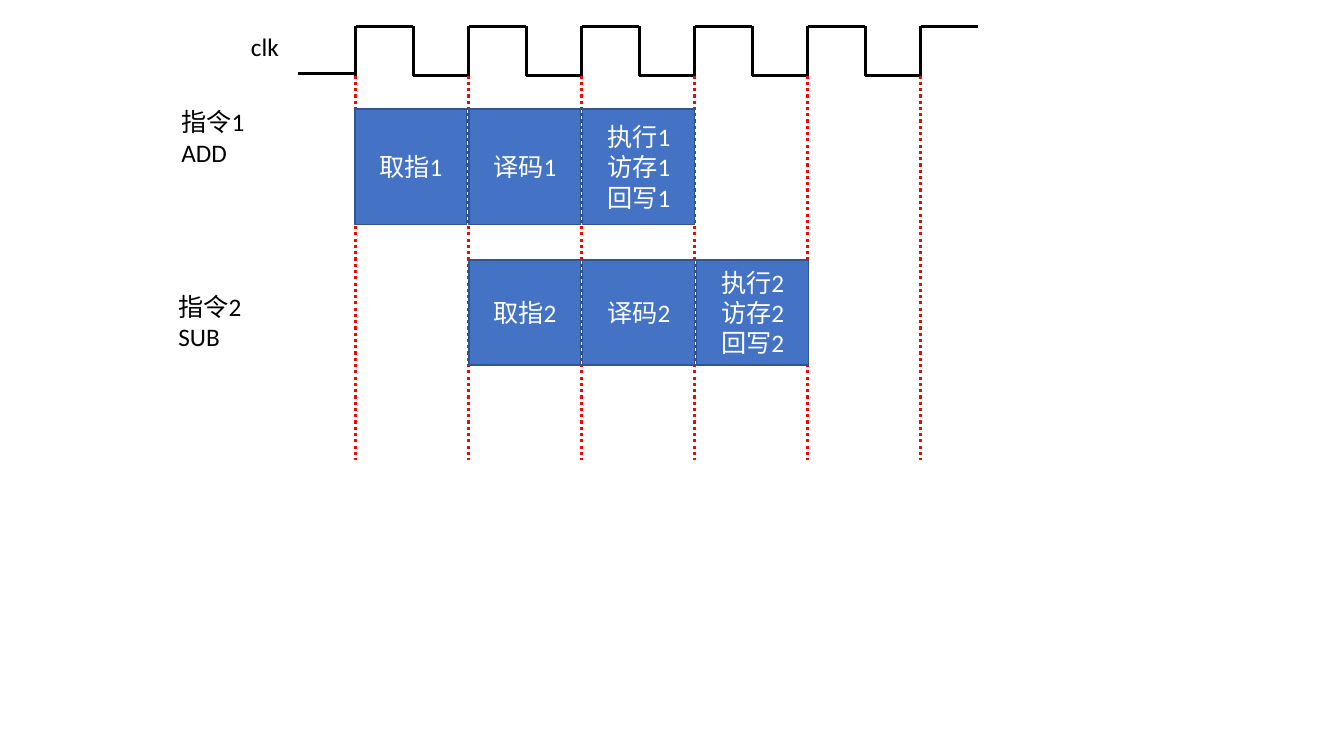
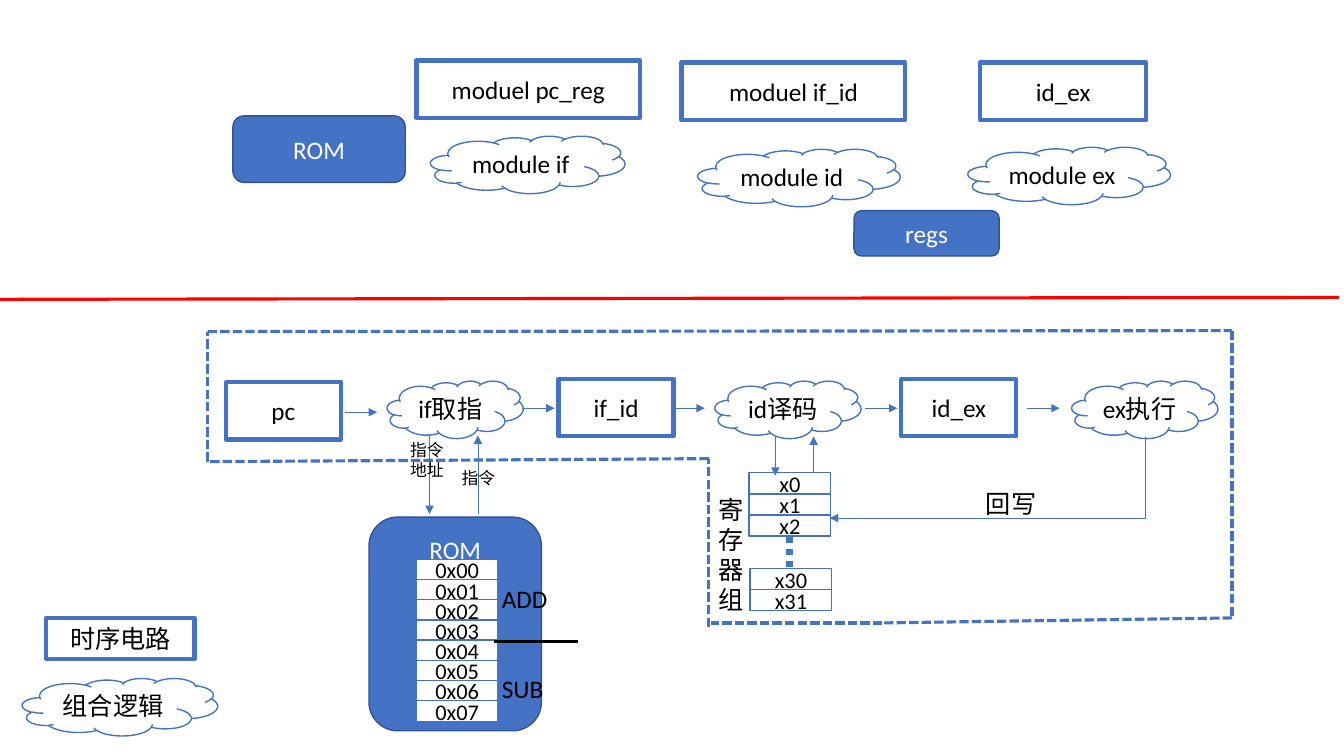
from pptx import Presentation
from pptx.dml.color import RGBColor
from pptx.enum.dml import MSO_LINE as Dash
from pptx.enum.shapes import MSO_CONNECTOR as Conn, MSO_SHAPE as Kind
from pptx.enum.text import MSO_ANCHOR as Anchor, PP_ALIGN as Align
from pptx.oxml.ns import qn
from pptx.util import Inches, Pt
from lxml import etree

# Shared style
BLUE = RGBColor(0x44, 0x72, 0xC4)
NAVY = RGBColor(0x32, 0x54, 0x91)
RED = RGBColor(0xFF, 0, 0)
BLACK = RGBColor(0, 0, 0)
WHITE = RGBColor(0xFF, 0xFF, 0xFF)
FONT = "Calibri"


def write(frame, text, size, color, align):
    frame.text = text
    frame.word_wrap = True
    for para in frame.paragraphs:
        para.alignment = align
        for run in para.runs:
            run.font.name = FONT
            run.font.size = Pt(size)
            run.font.color.rgb = color


def label(slide, text, x, y, w, h, size=18):
    box = slide.shapes.add_textbox(Inches(x), Inches(y), Inches(w), Inches(h))
    write(box.text_frame, text, size, BLACK, Align.LEFT)


def block(slide, kind, text, x, y, w, h, fill=WHITE, edge=BLUE,
          width=1, color=BLACK, size=18):
    shape = slide.shapes.add_shape(
        kind, Inches(x), Inches(y), Inches(w), Inches(h))
    shape.shadow.inherit = False
    shape.fill.solid()
    shape.fill.fore_color.rgb = fill
    shape.line.color.rgb = edge
    shape.line.width = Pt(width)
    frame = shape.text_frame
    frame.vertical_anchor = Anchor.MIDDLE
    write(frame, text, size, color, Align.CENTER)
    return shape


def solid(slide, kind, text, x, y, w, h):
    return block(slide, kind, text, x, y, w, h, BLUE, NAVY, 1, WHITE)


def clocked(slide, text, x, y, w, h=0.57):
    block(slide, Kind.RECTANGLE, text, x, y, w, h, width=3)


def cloud(slide, text, x, y, w):
    block(slide, Kind.CLOUD, text, x, y, w, 0.57)


def cells(slide, names, x, y, step):
    for i, name in enumerate(names):
        block(slide, Kind.RECTANGLE, name, x, y + i * step, 0.81, 0.21, size=16)


def line(slide, x1, y1, x2, y2, color=BLACK, width=2.25, dash=None):
    conn = slide.shapes.add_connector(
        Conn.STRAIGHT, Inches(x1), Inches(y1), Inches(x2), Inches(y2))
    conn.line.color.rgb = color
    conn.line.width = Pt(width)
    if dash:
        conn.line.dash_style = dash
    etree.SubElement(conn._element.spPr, qn("a:effectLst"))
    return conn


def arrow(slide, x1, y1, x2, y2):
    conn = line(slide, x1, y1, x2, y2, BLUE, 0.5)
    etree.SubElement(conn.line._get_or_add_ln(), qn("a:tailEnd"), type="triangle")


def chain(slide, points, **style):
    for start, end in zip(points, points[1:]):
        line(slide, *start, *end, **style)


def timing(slide):
    left, step, half = 3.53, 1.12, 0.57
    high, low = 0.26, 0.75
    edges = [left + i * step for i in range(6)]

    # Clock wave and its rising edges
    wave = [(2.96, 0.73), (left, 0.73)]
    for x in edges:
        wave += [(x, low), (x, high), (x + half, high), (x + half, low)]
    chain(slide, wave[:-1])
    for x in edges:
        line(slide, x, low, x, 4.56, RED, dash=Dash.ROUND_DOT)

    label(slide, "clk", 2.39, 0.26, 0.69, 0.4)
    label(slide, "指令1\nADD", 1.7, 1.01, 1.28, 0.71)
    label(slide, "指令2\nSUB", 1.67, 2.84, 1.28, 0.71)

    # Stages, each instruction one cycle later
    for row, (y, h) in enumerate([(1.08, 1.15), (2.58, 1.04)]):
        n = row + 1
        stages = [f"取指{n}", f"译码{n}", f"执行{n}\n访存{n}\n回写{n}"]
        for i, text in enumerate(stages):
            x = 3.52 + 1.13 * (row + i)
            solid(slide, Kind.RECTANGLE, text, x, y, 1.11, h)


def modules(slide):
    for text, x, y, w in [("moduel pc_reg", 4.13, 0.6, 2.22),
                          ("moduel if_id", 6.76, 0.62, 2.22),
                          ("id_ex", 9.72, 0.62, 1.65)]:
        clocked(slide, text, x, y, w)
    for text, x, y, w in [("module if", 4.27, 1.35, 1.93),
                          ("module id", 6.92, 1.48, 2.01),
                          ("module ex", 9.6, 1.46, 2.01)]:
        cloud(slide, text, x, y, w)
    solid(slide, Kind.ROUNDED_RECTANGLE, "ROM", 2.31, 1.15, 1.71, 0.66)
    solid(slide, Kind.ROUNDED_RECTANGLE, "regs", 8.47, 2.09, 1.44, 0.45)
    line(slide, 0, 2.97, 13.28, 2.95, RED)


def legend(slide):
    clocked(slide, "时序电路", 0.46, 6.13, 1.47, 0.41)
    cloud(slide, "组合逻辑", 0.22, 6.73, 1.94)


def core(slide):
    # Pipeline row
    for text, x, y in [("pc", 2.24, 3.79), ("if_id", 5.54, 3.76),
                       ("id_ex", 8.94, 3.76)]:
        clocked(slide, text, x, y, 1.14)
    for text, x, w in [("if取指", 3.84, 1.35), ("id译码", 7.09, 1.45),
                       ("ex执行", 10.63, 1.45)]:
        cloud(slide, text, x, 3.78, w)
    for x, y in [(3.42, 4.09), (5.18, 4.05), (6.67, 4.05),
                 (8.58, 4.05), (10.19, 4.05)]:
        arrow(slide, x, y, x + 0.32, y)

    # Dashed outline of the core
    outline = [(7.03, 6.22), (7.03, 4.55), (2.06, 4.58), (2.06, 3.29),
               (12.22, 3.28), (12.22, 6.13), (8.75, 6.18), (7.05, 6.18)]
    chain(slide, outline, color=BLUE, dash=Dash.SQUARE_DOT)

    # Registers
    cells(slide, ["x0", "x1", "x2"], 7.43, 4.69, 0.21)
    cells(slide, ["x30", "x31"], 7.44, 5.64, 0.21)
    line(slide, 7.83, 5.32, 7.83, 5.63, BLUE, 4.5, Dash.ROUND_DOT)
    label(slide, "寄\n存\n器\n组", 7.03, 4.85, 0.44, 1.31)
    arrow(slide, 7.69, 4.33, 7.69, 4.72)
    arrow(slide, 8.07, 4.69, 8.07, 4.33)

    # Write-back
    line(slide, 11.36, 4.34, 11.36, 5.14, BLUE, 0.5)
    arrow(slide, 11.37, 5.14, 8.23, 5.14)
    label(slide, "回写", 9.68, 4.8, 0.8, 0.4)


def memory(slide):
    rom = solid(slide, Kind.ROUNDED_RECTANGLE, "ROM", 3.66, 5.13, 1.71, 2.12)
    rom.text_frame.vertical_anchor = Anchor.TOP
    rom.text_frame.margin_top = Inches(0.09)
    cells(slide, [f"0x{i:02}" for i in range(8)], 4.13, 5.55, 0.2)
    arrow(slide, 4.26, 4.31, 4.26, 5.1)
    arrow(slide, 4.74, 5.1, 4.74, 4.32)
    label(slide, "指令\n地址", 3.97, 4.31, 0.7, 0.5, 12)
    label(slide, "指令", 4.48, 4.59, 0.7, 0.3, 12)
    label(slide, "ADD", 4.88, 5.74, 0.8, 0.4)
    label(slide, "SUB", 4.88, 6.63, 0.8, 0.4)
    line(slide, 4.9, 6.36, 5.73, 6.36)


def main():
    deck = Presentation()
    deck.slide_width, deck.slide_height = Inches(13.33), Inches(7.5)
    blank = deck.slide_layouts[6]
    for parts in [(timing,), (modules, legend, core, memory)]:
        slide = deck.slides.add_slide(blank)
        for draw in parts:
            draw(slide)
    deck.save("out.pptx")


if __name__ == "__main__":
    main()
